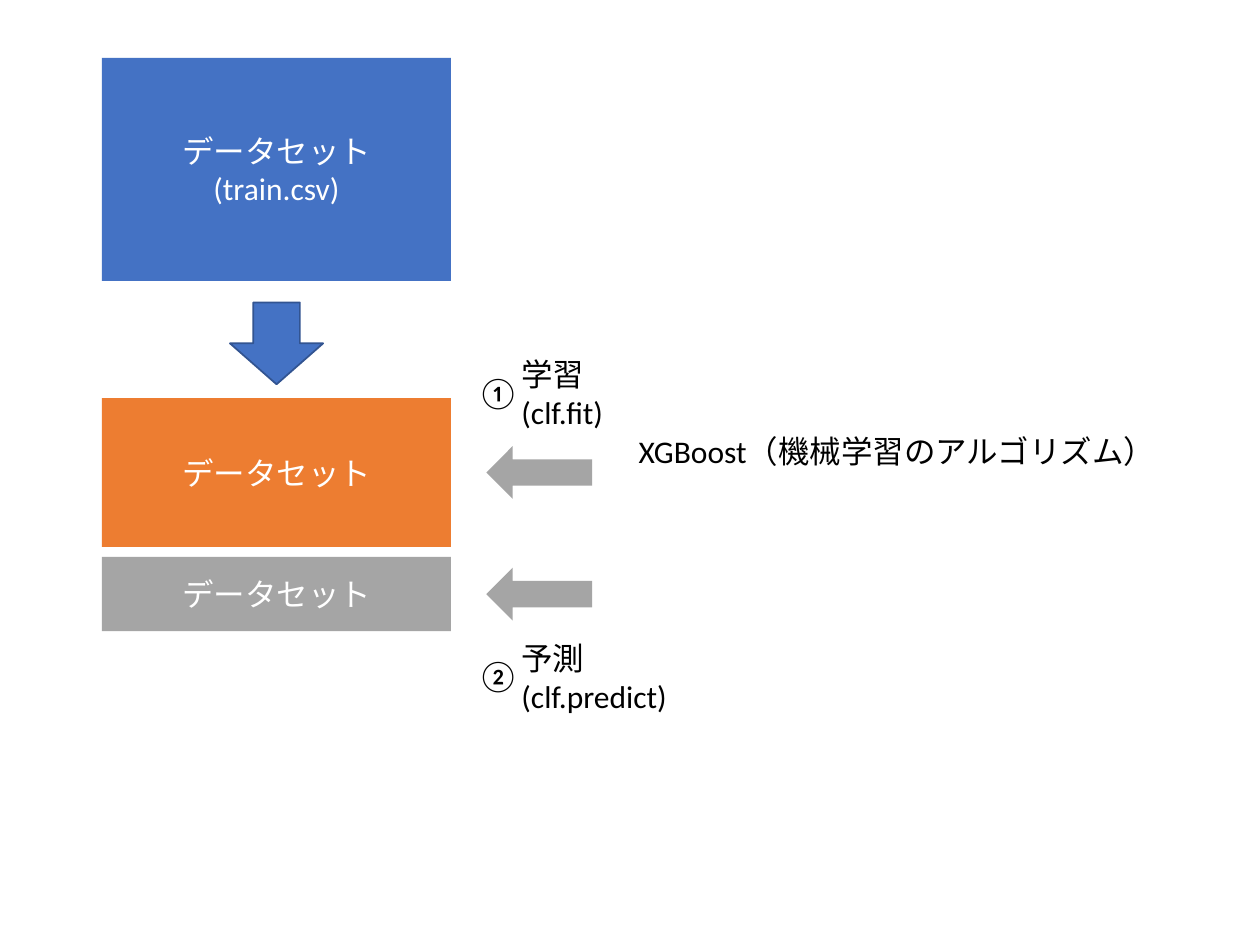
from pptx import Presentation
from pptx.dml.color import RGBColor as Rgb
from pptx.enum.shapes import MSO_SHAPE as Kind
from pptx.enum.text import MSO_ANCHOR as Anchor, MSO_AUTO_SIZE as Fit, PP_ALIGN as Align
from pptx.util import Inches, Pt

COLORS = {"blue": "4472C4", "edge": "325491", "orange": "ED7D31",
          "gray": "A5A5A5", "white": "FFFFFF", "black": "000000"}
FONT = {"name": "Calibri", "size": Pt(18)}
LEFT, WIDE = 0.81, 2.77
MID = LEFT + WIDE / 2
STEP_X, NUM_X = 4.04, 3.69
ARROW_X, ARROW_W, ARROW_H = 4.28, 0.42, 0.84
DATA = "データセット"


def tint(name):
    return Rgb.from_string(COLORS[name])


def write(frame, lines, color, align):
    frame.word_wrap = True
    for i, line in enumerate(lines):
        para = frame.paragraphs[0] if i == 0 else frame.add_paragraph()
        para.alignment = align
        run = para.add_run()
        run.text = line
        for key, value in FONT.items():
            setattr(run.font, key, value)
        run.font.color.rgb = tint(color)


def shape(slide, kind, box, fill, edge=None):
    item = slide.shapes.add_shape(kind, *map(Inches, box))
    item.shadow.inherit = False
    item.fill.solid()
    item.fill.fore_color.rgb = tint(fill)
    if edge:
        item.line.color.rgb = tint(edge)
        item.line.width = Pt(1)
    else:
        item.line.fill.background()
    return item


def block(slide, top, high, fill, lines):
    """Add a data block, and return the height of its middle."""
    item = shape(slide, Kind.RECTANGLE, (LEFT, top, WIDE, high), fill)
    item.text_frame.vertical_anchor = Anchor.MIDDLE
    write(item.text_frame, lines, "white", Align.CENTER)
    return top + high / 2


def arrow(slide, mid):
    """Add an arrow that points left at a block's middle."""
    box = (ARROW_X - ARROW_W / 2, mid - ARROW_H / 2, ARROW_W, ARROW_H)
    shape(slide, Kind.UP_ARROW, box, "gray").rotation = 270


def label(slide, box, *lines):
    item = slide.shapes.add_textbox(*map(Inches, box))
    write(item.text_frame, lines, "black", Align.LEFT)
    item.text_frame.auto_size = Fit.SHAPE_TO_FIT_TEXT


def step(slide, top, wide, mark, *lines):
    label(slide, (STEP_X, top, wide, 0.71), *lines)
    label(slide, (NUM_X, top + 0.14, 0.45, 0.4), mark)


def main():
    deck = Presentation()
    deck.slide_width, deck.slide_height = Inches(10), Inches(7.5)
    slide = deck.slides.add_slide(deck.slide_layouts[6])

    block(slide, 0.46, 1.77, "blue", [DATA, "(train.csv)"])
    shape(slide, Kind.DOWN_ARROW, (MID - 0.37, 2.4, 0.74, 0.65), "blue", "edge")
    for top, high, fill in ((3.16, 1.18, "orange"), (4.42, 0.59, "gray")):
        arrow(slide, block(slide, top, high, fill, [DATA]))

    label(slide, (4.97, 3.38, 4.35, 0.4), "XGBoost（機械学習のアルゴリズム）")
    step(slide, 2.77, 0.86, "①", "学習", "(clf.fit)")
    step(slide, 5.02, 1.37, "②", "予測", "(clf.predict)")
    deck.save("out.pptx")


if __name__ == "__main__":
    main()
